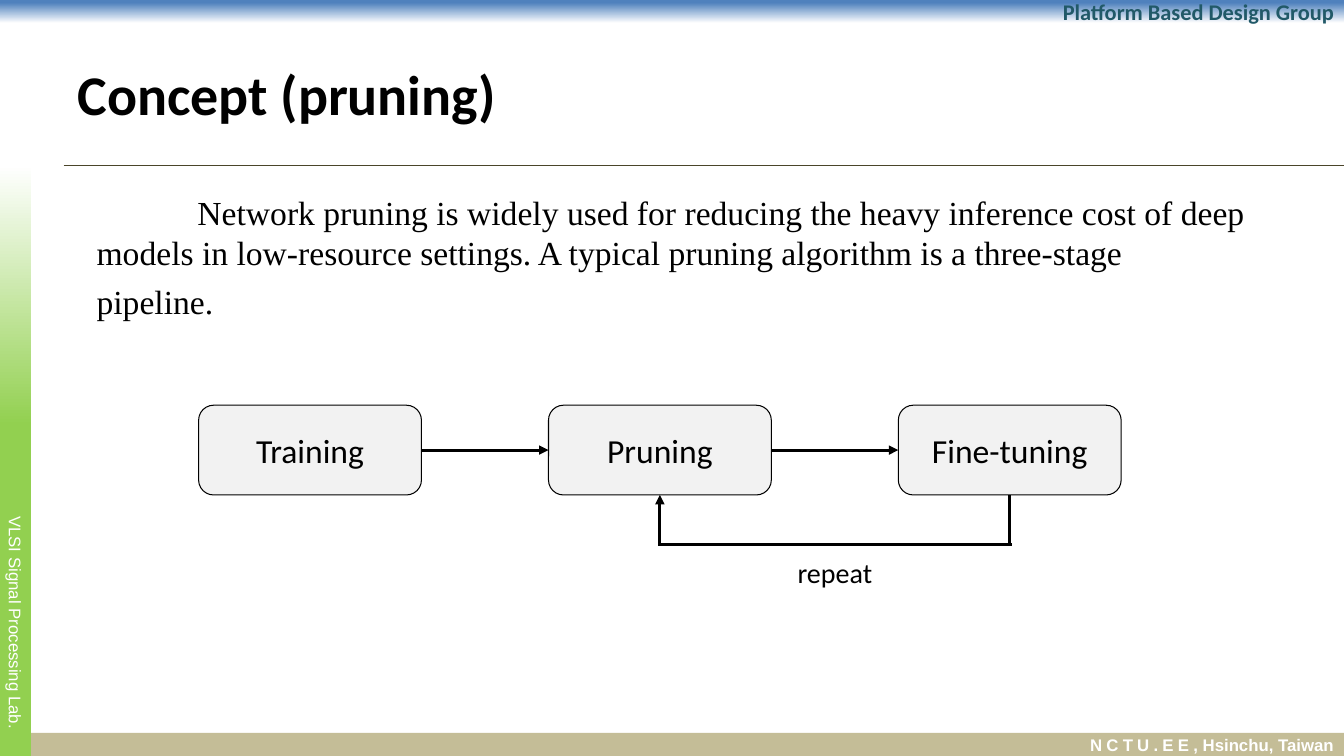
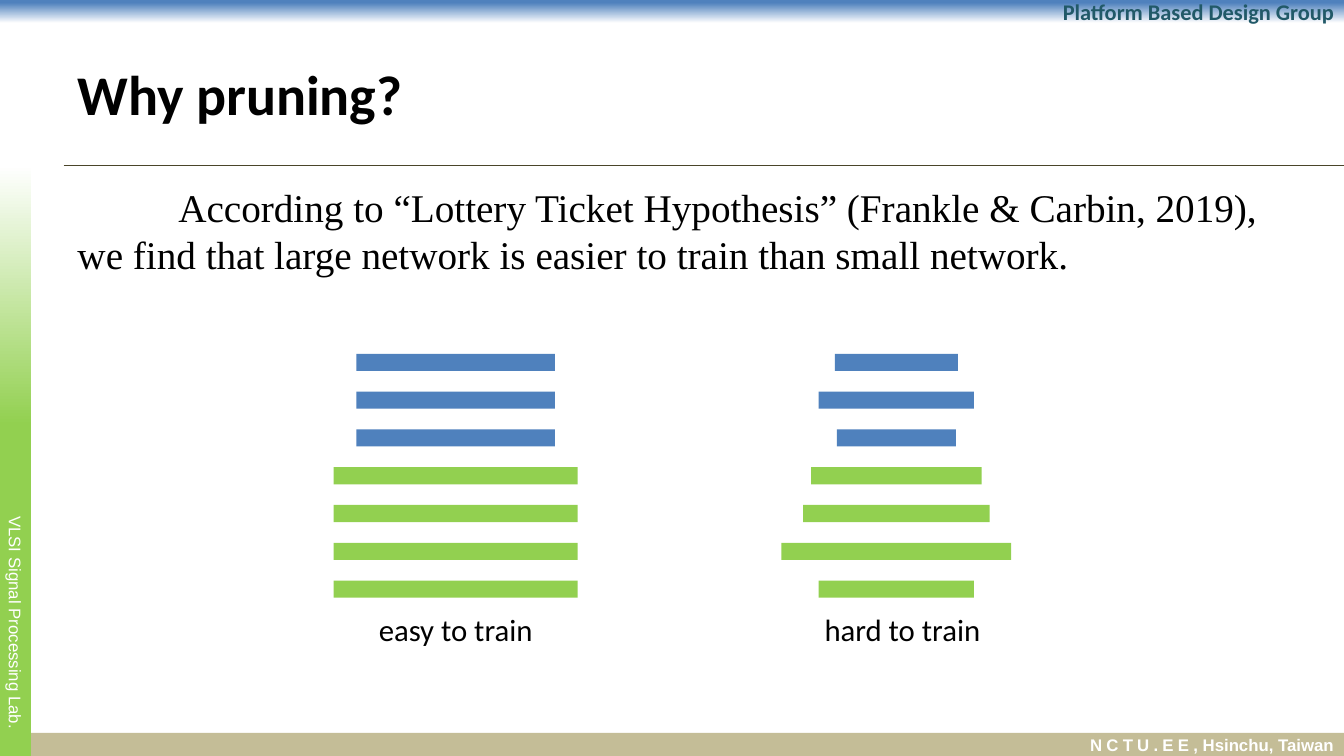
import lxml.etree
import pptx
import pptx.dml.color
import pptx.enum.shapes
import pptx.enum.text
import pptx.oxml.ns
import pptx.util

Inches = pptx.util.Inches
Pt = pptx.util.Pt
SHAPE = pptx.enum.shapes.MSO_SHAPE
ALIGN = pptx.enum.text.PP_ALIGN
ANCHOR = pptx.enum.text.MSO_ANCHOR
qn = pptx.oxml.ns.qn

WIDTH, HEIGHT = 13.33, 7.5
BAND = 0.23
SIDE = 0.31
RULE_Y = 1.64
SANS, SERIF, FOOTER_FONT = "Calibri", "Times New Roman", "Arial"
BLACK, WHITE = "000000", "FFFFFF"
BLUE, GREEN, TAN = "4F81BD", "92D050", "C4BD97"
TEAL, OLIVE, PALE = "215968", "4A452A", "F2F2F2"


def rgb(value):
    return pptx.dml.color.RGBColor.from_string(value)


def add_child(parent, tag, **attributes):
    lxml.etree.SubElement(parent, qn(tag), attributes)


class Deck:
    """Holds the shared style and the slide being drawn."""

    def __init__(self):
        self.prs = pptx.Presentation()
        self.prs.slide_width = Inches(WIDTH)
        self.prs.slide_height = Inches(HEIGHT)
        self.s = None

    def new_slide(self, title):
        self.s = self.prs.slides.add_slide(self.prs.slide_layouts[6])
        self.frame()
        box = self.text_box(0.67, 0.3, 12, 1.25, anchor=ANCHOR.MIDDLE)
        self.run(box.text_frame.paragraphs[0], title, 40, bold=True)

    def frame(self):
        """Draw the bands and the title rule that every slide has."""
        header = self.shape(0, 0, WIDTH, BAND)
        self.gradient(header, BLUE, 0.12, 270)
        p = self.aligned(header, ALIGN.RIGHT)
        self.run(p, "Platform Based Design Group", 16, TEAL, bold=True)

        footer = self.shape(0, HEIGHT - BAND, WIDTH, BAND, TAN)
        p = self.aligned(footer, ALIGN.RIGHT)
        self.run(p, "NCTU.EE", 12, WHITE, FOOTER_FONT, True, spacing=3)
        self.run(p, ", Hsinchu, Taiwan", 12, WHITE, FOOTER_FONT, True)

        side = self.shape(0, RULE_Y, SIDE, HEIGHT - RULE_Y)
        self.gradient(side, GREEN, 0.56, 90)
        tf = side.text_frame
        tf.margin_top = Inches(3.31)
        tf._txBody.bodyPr.set("vert", "vert")
        p = self.aligned(side, ALIGN.CENTER)
        self.run(p, "VLSI Signal Processing Lab.", 12, WHITE, FOOTER_FONT)

        self.line((0.63, RULE_Y), (WIDTH, RULE_Y), OLIVE, 1)

    def shape(self, x, y, w, h, fill=None, kind=SHAPE.RECTANGLE, outline=None,
              shapes=None):
        shapes = self.s.shapes if shapes is None else shapes
        sp = shapes.add_shape(kind, Inches(x), Inches(y), Inches(w), Inches(h))
        sp.shadow.inherit = False
        if fill:
            sp.fill.solid()
            sp.fill.fore_color.rgb = rgb(fill)
        if outline:
            sp.line.color.rgb = rgb(outline)
            sp.line.width = Pt(0.75)
        else:
            sp.line.fill.background()
        return sp

    def gradient(self, sp, color, start, angle):
        """Fade from a color, solid up to start, into white."""
        sp.fill.gradient()
        sp.fill.gradient_angle = angle
        stops = zip(sp.fill.gradient_stops, (color, WHITE), (start, 1))
        for stop, value, position in stops:
            stop.color.rgb = rgb(value)
            stop.position = position

    def aligned(self, sp, alignment):
        """Return the first paragraph of a shape, centred vertically."""
        sp.text_frame.vertical_anchor = ANCHOR.MIDDLE
        p = sp.text_frame.paragraphs[0]
        p.alignment = alignment
        return p

    def run(self, p, text, size, color=BLACK, font=SANS, bold=False, spacing=0):
        r = p.add_run()
        r.text = text
        r.font.size = Pt(size)
        r.font.name = font
        r.font.bold = bold
        r.font.color.rgb = rgb(color)
        if spacing:
            r._r.get_or_add_rPr().set("spc", str(spacing * 100))

    def text_box(self, x, y, w, h, anchor=ANCHOR.TOP):
        box = self.s.shapes.add_textbox(Inches(x), Inches(y), Inches(w), Inches(h))
        box.text_frame.word_wrap = True
        box.text_frame.vertical_anchor = anchor
        return box

    def body(self, x, y, w, h, size, paragraphs):
        """Write paragraphs, the first with an indented first line."""
        tf = self.text_box(x, y, w, h).text_frame
        for i, text in enumerate(paragraphs):
            p = tf.add_paragraph() if i else tf.paragraphs[0]
            if i:
                p.space_before = Pt(size * 0.25)
            else:
                p._p.get_or_add_pPr().set("indent", str(int(Inches(1))))
            self.run(p, text, size, font=SERIF)

    def label(self, center, y, text, size):
        w = 1.82
        box = self.text_box(center - w / 2, y, w, 0.47)
        p = box.text_frame.paragraphs[0]
        p.alignment = ALIGN.CENTER
        self.run(p, text, size)

    def stage(self, x, y, w, h, text):
        sp = self.shape(x, y, w, h, PALE, SHAPE.ROUNDED_RECTANGLE, BLACK)
        self.run(self.aligned(sp, ALIGN.CENTER), text, 24)
        return sp

    def line(self, start, end, color=BLACK, width=2.25, arrow=False,
             begin=None, finish=None):
        """Draw a line; begin and finish are (shape, side) joints."""
        c = self.s.shapes.add_connector(
            pptx.enum.shapes.MSO_CONNECTOR.STRAIGHT,
            *(Inches(v) for v in (*start, *end)))
        c.line.color.rgb = rgb(color)
        c.line.width = Pt(width)
        sp_pr = c._element.find(qn("p:spPr"))
        if arrow:
            add_child(sp_pr.find(qn("a:ln")), "a:tailEnd", type="triangle")
        add_child(sp_pr, "a:effectLst")
        if begin:
            c.begin_connect(*begin)
        if finish:
            c.end_connect(*finish)

    def layers(self, center, widths):
        """Stack centred bars: three blue, the rest green."""
        group = self.s.shapes.add_group_shape()
        for i, w in enumerate(widths):
            self.shape(center - w / 2, 3.51 + i * 2.25 / 6, w, 0.17,
                       BLUE if i < 3 else GREEN, shapes=group.shapes)


def concept_slide(deck):
    deck.new_slide("Concept (pruning)")
    deck.body(0.86, 1.85, 11.65, 4.79, 24, [
        "Network pruning is widely used for reducing the heavy inference cost "
        "of deep models in low-resource settings. A typical pruning algorithm "
        "is a three-stage",
        "pipeline.",
    ])
    left, top, w, h, pitch = 1.97, 4.02, 2.21, 0.89, 3.47
    names = ("Training", "Pruning", "Fine-tuning")
    stages = [deck.stage(left + i * pitch, top, w, h, name)
              for i, name in enumerate(names)]
    middle, bottom = top + h / 2, top + h
    for i in range(2):
        x = left + i * pitch + w
        deck.line((x, middle), (x + pitch - w, middle), arrow=True,
                  begin=(stages[i], 3), finish=(stages[i + 1], 1))

    pruning_x = left + pitch + w / 2
    tuning_x = pruning_x + pitch
    loop_y, corner = 5.4, 0.02
    deck.line((pruning_x, loop_y), (pruning_x, bottom), arrow=True,
              finish=(stages[1], 2))
    deck.line((tuning_x, loop_y), (tuning_x, bottom), finish=(stages[2], 2))
    deck.line((tuning_x + corner, loop_y), (pruning_x - corner, loop_y))
    deck.label((pruning_x + tuning_x) / 2, 5.46, "repeat", 20)


def reason_slide(deck):
    deck.new_slide("Why pruning?")
    deck.body(0.67, 1.77, 12.08, 4.95, 28, [
        "According to “Lottery Ticket Hypothesis” (Frankle & Carbin, 2019), "
        "we find that large network is easier to train than small network.",
    ])
    deck.layers(4.52, [1.97] * 3 + [2.42] * 4)
    deck.layers(8.89, [1.22, 1.54, 1.18, 1.69, 1.85, 2.28, 1.54])
    deck.label(4.52, 6.01, "easy to train", 22)
    deck.label(8.95, 6.01, "hard to train", 22)


def main():
    deck = Deck()
    concept_slide(deck)
    reason_slide(deck)
    deck.prs.save("out.pptx")


if __name__ == "__main__":
    main()
